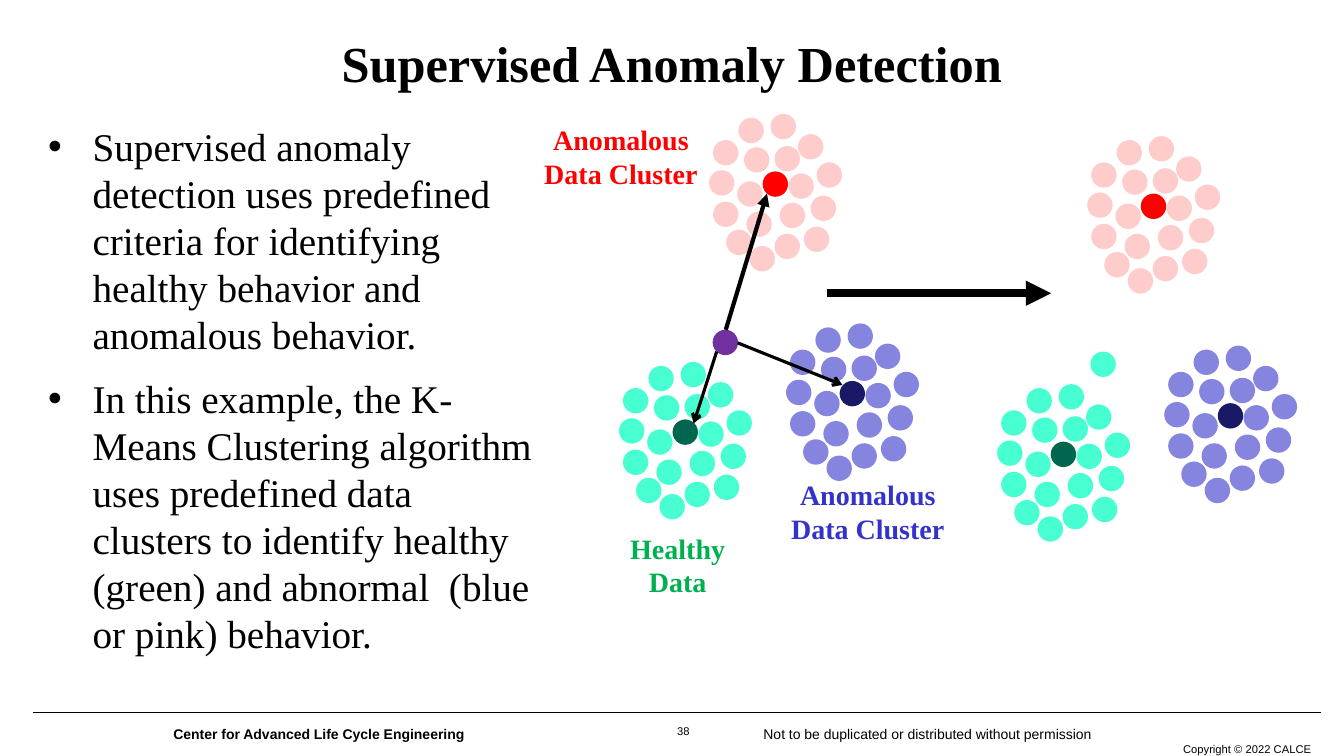
from dataclasses import dataclass

from lxml import etree
from pptx import Presentation
from pptx.dml.color import RGBColor
from pptx.enum.shapes import MSO_CONNECTOR, MSO_SHAPE
from pptx.enum.text import MSO_ANCHOR, MSO_AUTO_SIZE, PP_ALIGN
from pptx.oxml.ns import qn
from pptx.util import Cm, Pt

LINE, OVAL = MSO_CONNECTOR.STRAIGHT, MSO_SHAPE.OVAL
LEFT, MID, RIGHT = PP_ALIGN.LEFT, PP_ALIGN.CENTER, PP_ALIGN.RIGHT
CENTER, TOP = MSO_ANCHOR.MIDDLE, MSO_ANCHOR.TOP
NO_FIT = MSO_AUTO_SIZE.NONE


@dataclass(frozen=True)
class Theme:
    serif: str = "Times New Roman"
    sans: str = "Arial"
    title: int = 36
    body: int = 28
    label: int = 20
    foot: int = 10
    small: int = 8
    ink: str = "000000"
    probe: str = "7030A0"
    green: tuple = ("47FFD1", "00664D", "00B050")
    blue: tuple = ("8585E0", "191966", "3333CC")
    pink: tuple = ("FFCCCC", "FF0000", "FF0000")


THEME = Theme()
DOT = 0.64
CORE = (1.35, 1.45)
RING = [
    (0.1, 0.66), (0, 1.42), (2.24, 0.51), (2.71, 1.22), (0.1, 2.21), (2.56, 2.06),
    (0.43, 2.92), (1.65, 3.02), (2.39, 2.84), (1.02, 3.33), (0.74, 0.1), (0.88, 0.84),
    (0.94, 2.46), (1.78, 2.24), (1.65, 0.81), (1.55, 0), (0.71, 1.7), (2, 1.5),
]
# Tints and place of each cluster inside a diagram
GROUPS = [
    (THEME.green, (0, 6.25)),
    (THEME.blue, (4.21, 5.28)),
    (THEME.pink, (2.27, 0)),
]
POINTS = [
    "Supervised anomaly detection uses predefined criteria for identifying "
    "healthy behavior and anomalous behavior.",
    "In this example, the K-Means Clustering algorithm uses predefined data "
    "clusters to identify healthy (green) and abnormal  (blue or pink) behavior.",
]


def style(par, face, size, color=THEME.ink, bold=False, align=LEFT):
    par.alignment = align
    font = par.font
    font.name, font.size, font.bold = face, Pt(size), bold
    font.color.rgb = RGBColor.from_string(color)


def place(shape, box):
    shape.left, shape.top, shape.width, shape.height = map(Cm, box)


def write(slide, box, text, *look):
    frame = slide.shapes.add_textbox(*map(Cm, box)).text_frame
    frame.word_wrap = True
    frame.text = text
    style(frame.paragraphs[0], *look)
    return frame.paragraphs[0]


def dot(slide, x, y, color):
    ball = slide.shapes.add_shape(OVAL, Cm(x), Cm(y), Cm(DOT), Cm(DOT))
    ball.shadow.inherit = False
    ball.fill.solid()
    ball.fill.fore_color.rgb = RGBColor.from_string(color)
    ball.line.fill.background()


def rule(slide, start, end, width, head=None):
    """Draw a black line, with an arrowhead at its end if head is given."""
    line = slide.shapes.add_connector(LINE, *map(Cm, start + end))
    line.line.width = Pt(width)
    line.line.color.rgb = RGBColor.from_string(THEME.ink)
    if head:
        etree.SubElement(line.line._get_or_add_ln(), qn("a:tailEnd"), type=head)
    etree.SubElement(line._element.spPr, qn("a:effectLst"))


def heading(slide, box):
    title = slide.shapes.title
    place(title, box)
    frame = title.text_frame
    frame.text = "Supervised Anomaly Detection"
    frame.vertical_anchor, frame.auto_size = CENTER, NO_FIT
    style(frame.paragraphs[0], THEME.serif, THEME.title, bold=True, align=MID)


def points(slide, box):
    body = slide.placeholders[1]
    place(body, box)
    frame = body.text_frame
    frame.text = "\n".join(POINTS)
    frame.vertical_anchor, frame.auto_size = TOP, NO_FIT
    for par in frame.paragraphs:
        props = par._p.get_or_add_pPr()
        props.set("marL", str(Cm(1.27)))
        props.set("indent", str(-Cm(1.12)))
        etree.SubElement(props, qn("a:buChar"), char="•")
        par.space_before, par.space_after = Pt(0), Pt(12)
        style(par, THEME.serif, THEME.body)


def diagram(slide, x, y):
    """Draw the three clusters from the top left corner x, y."""
    for (pale, deep, _), (dx, dy) in GROUPS:
        for cx, cy in RING:
            dot(slide, x + dx + cx, y + dy + cy, pale)
        dot(slide, x + dx + CORE[0], y + dy + CORE[1], deep)


def before(slide, x, y):
    """Draw the clusters with the new point, its distances and the labels."""
    diagram(slide, x, y)
    dot(slide, x + 2.36, y + 5.44, THEME.probe)
    for start, end, width, head in [
        ((2.46, 5.99), (1.88, 7.8), 2.25, "arrow"),
        ((2.99, 5.77), (5.63, 6.83), 2.25, "arrow"),
        ((2.69, 5.44), (3.73, 2.01), 3, "triangle"),
    ]:
        rule(slide, (x + start[0], y + start[1]), (x + end[0], y + end[1]), width, head)
    for text, tints, dx, dy, wide in [
        ("Healthy Data", THEME.green, -0.08, 10.39, 3.12),
        ("Anomalous Data Cluster", THEME.blue, 4.01, 9.04, 4.52),
        ("Anomalous Data Cluster", THEME.pink, -2.21, 0.1, 4.52),
    ]:
        write(slide, (x + dx, y + dy, wide, 1.96), text,
              THEME.serif, THEME.label, tints[2], True, MID)


def after(slide, x, y):
    """Draw the clusters with the new point joined to the healthy one."""
    diagram(slide, x, y)
    dot(slide, x + 2.35, y + 5.43, THEME.green[0])


def footer(slide, x, y, wide):
    rule(slide, (x, y), (x + wide, y), 1)
    write(slide, (x + 15.95, y + 0.23, 0.86, 0.56), "38",
          THEME.sans, THEME.small, THEME.ink, False, MID).line_spacing = 0.85
    write(slide, (x + 3.28, y + 0.2, 9, 0.69), "Center for Advanced Life Cycle Engineering",
          THEME.sans, THEME.foot, THEME.ink, True)
    write(slide, (x + 18.15, y + 0.2, 10, 0.69),
          "Not to be duplicated or distributed without permission", THEME.sans, THEME.foot)
    write(slide, (x + wide - 5.28, y + 0.61, 5.28, 0.61), "Copyright © 2022 CALCE",
          THEME.sans, THEME.small, THEME.ink, False, RIGHT)


def main():
    deck = Presentation()
    deck.slide_width, deck.slide_height = Cm(33.87), Cm(19.05)
    slide = deck.slides.add_slide(deck.slide_layouts[1])
    footer(slide, 0.84, 17.96, 32.46)
    heading(slide, (0, 0, 33.87, 3.12))
    points(slide, (0.81, 2.95, 12.95, 13.87))
    before(slide, 15.6, 2.87)
    rule(slide, (20.83, 7.39), (26.49, 7.39), 6, "triangle")
    after(slide, 25.13, 3.43)
    deck.save("out.pptx")


if __name__ == "__main__":
    main()
